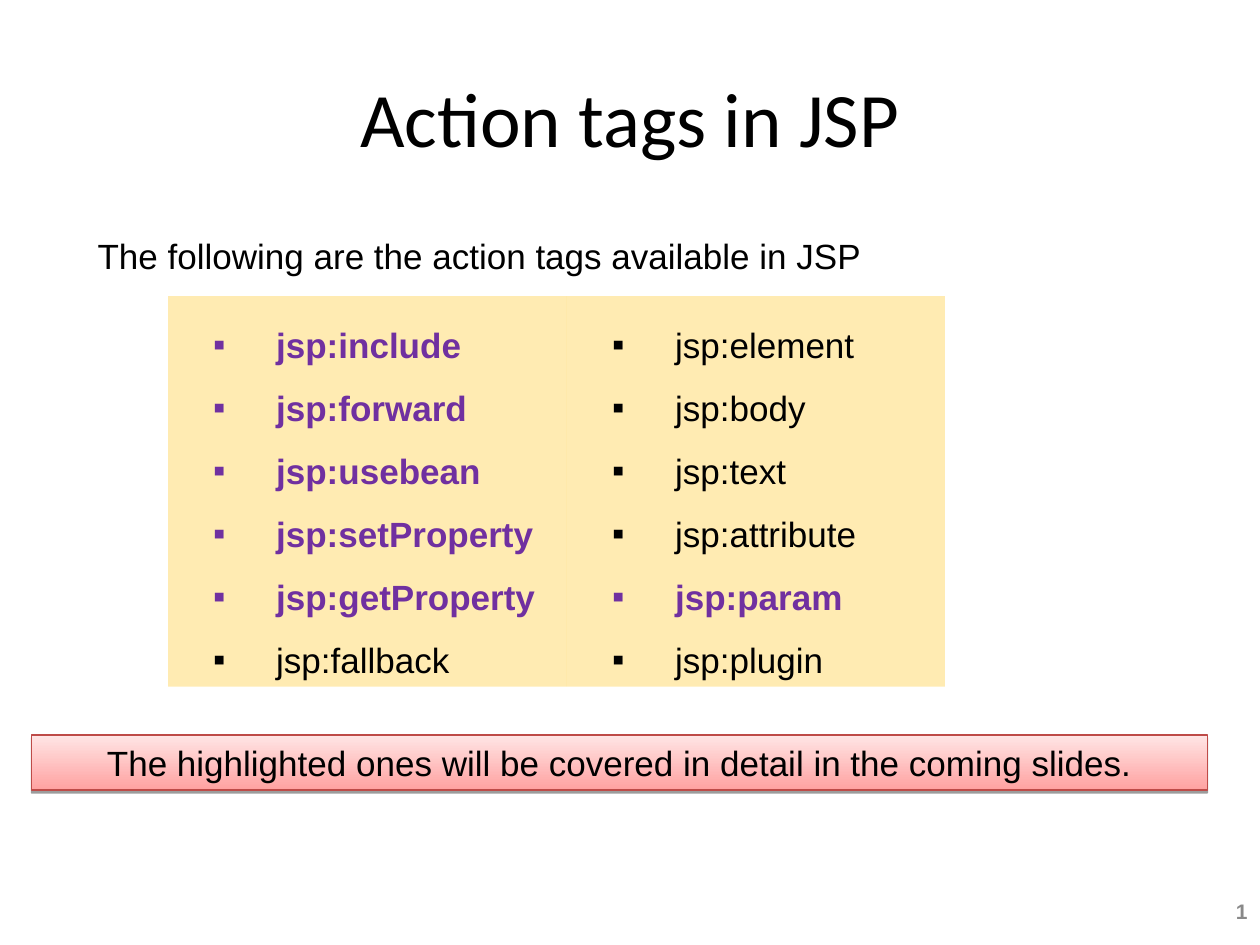
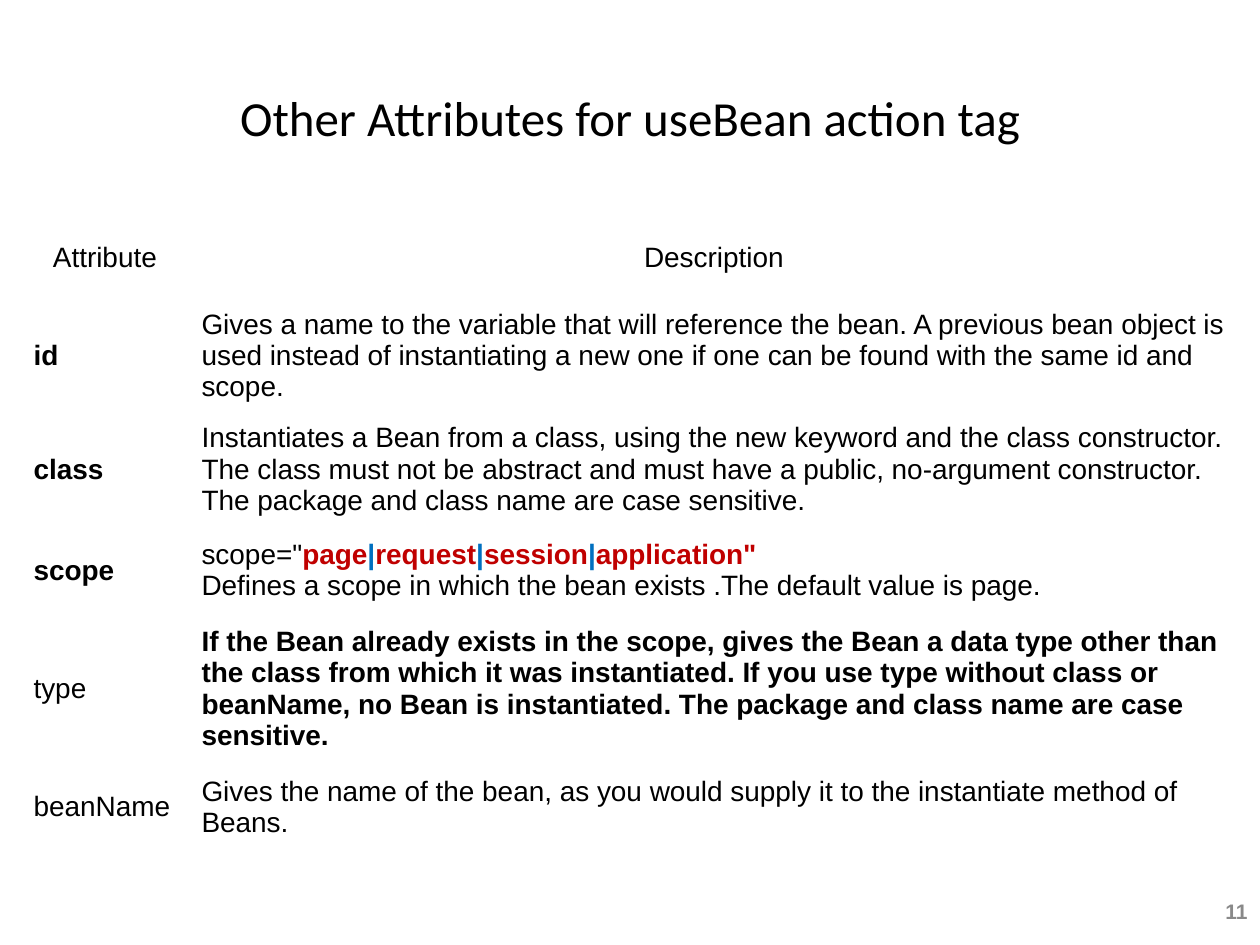
from lxml.etree import SubElement
from pptx import Presentation
from pptx.dml.color import RGBColor
from pptx.enum.shapes import MSO_SHAPE
from pptx.enum.text import MSO_ANCHOR, PP_ALIGN
from pptx.oxml import parse_xml
from pptx.oxml.ns import nsdecls, qn
from pptx.util import Inches, Pt

COLORS = {
    "text": "000000",
    "number": "898989",
    "covered": "7030A0",
    "panel": "FFC000",
    "bar_dark": "FFA2A1",
    "bar_light": "FFE5E5",
    "bar_line": "BE4B48",
    "value": "C00000",
    "pipe": "0070C0",
}
COLS, ROWS = 120, 90
HEADING_FONT, BODY_FONT = "Calibri", "Arial"


def rgb(name):
    return RGBColor.from_string(COLORS[name])


class Deck:
    def __init__(self):
        self.prs = Presentation()
        self.prs.slide_width, self.prs.slide_height = Inches(10), Inches(7.5)
        self.s = None

    def x(self, cols):
        return round(self.prs.slide_width * cols / COLS)

    def y(self, rows):
        return round(self.prs.slide_height * rows / ROWS)

    def box(self, left, top, width, height):
        return self.x(left), self.y(top), self.x(width), self.y(height)

    def style(self, r, size, color="text", bold=False, name=BODY_FONT):
        r.font.size, r.font.bold, r.font.name = Pt(size), bold, name
        r.font.color.rgb = rgb(color)

    def fill_in(self, p, text, size, color="text", bold=False, name=BODY_FONT):
        p.text = text
        self.style(p.runs[0], size, color, bold, name)

    def indent(self, p, left, first=0, bullet=None):
        pPr = p._p.get_or_add_pPr()
        pPr.set("marL", str(Inches(left)))
        pPr.set("indent", str(Inches(first)))
        if bullet:
            clr = SubElement(pPr, qn("a:buClr"))
            SubElement(clr, qn("a:srgbClr"), val=COLORS[bullet])
            SubElement(pPr, qn("a:buFont"), typeface=BODY_FONT)
            SubElement(pPr, qn("a:buChar"), char="▪")

    def slide(self, title, size, number):
        self.s = self.prs.slides.add_slide(self.prs.slide_layouts[5])
        sp = self.s.shapes.title
        sp.left, sp.top, sp.width, sp.height = self.box(6, 3.6, 108, 15)
        tf = sp.text_frame
        tf.vertical_anchor = MSO_ANCHOR.MIDDLE
        p = tf.paragraphs[0]
        self.fill_in(p, title, size, name=HEADING_FONT)
        p.alignment = PP_ALIGN.CENTER
        p = self.text(114.1, 84.7, 5.9, 4.2, number, 12, "number", True, MSO_ANCHOR.MIDDLE)
        p.alignment = PP_ALIGN.RIGHT

    def text(self, left, top, width, height, text, size, color="text", bold=False,
             anchor=MSO_ANCHOR.TOP):
        tf = self.s.shapes.add_textbox(*self.box(left, top, width, height)).text_frame
        tf.word_wrap, tf.vertical_anchor = True, anchor
        p = tf.paragraphs[0]
        self.fill_in(p, text, size, color, bold)
        return p

    def rect(self, left, top, width, height):
        sp = self.s.shapes.add_shape(MSO_SHAPE.RECTANGLE, *self.box(left, top, width, height))
        sp.shadow.inherit = False
        sp.text_frame.word_wrap = True
        return sp

    def panel(self, left, top, width, height, tags, covered):
        sp = self.rect(left, top, width, height)
        sp.fill.solid()
        sp.fill.fore_color.rgb = rgb("panel")
        clr = sp._element.spPr.find(qn("a:solidFill"))[0]
        SubElement(clr, qn("a:alpha"), val="30000")
        sp.line.fill.background()
        tf = sp.text_frame
        tf.vertical_anchor = MSO_ANCHOR.MIDDLE
        tf.text = "\n".join(tags)
        for p, tag in zip(tf.paragraphs, tags):
            color = "covered" if tag in covered else "text"
            self.indent(p, 0.76, -0.5, color)
            p.line_spacing, p.alignment = 1.5, PP_ALIGN.LEFT
            self.style(p.runs[0], 20, color, tag in covered)

    def bar(self, left, top, width, height, text):
        sp = self.rect(left, top, width, height)
        sp.fill.gradient()
        sp.fill.gradient_angle = 90
        for stop, position, color in zip(sp.fill.gradient_stops, (0, 1), ("bar_dark", "bar_light")):
            stop.position, stop.color.rgb = position, rgb(color)
        sp.line.color.rgb, sp.line.width = rgb("bar_line"), Pt(0.75)
        effects = sp._element.spPr.find(qn("a:effectLst"))
        effects.append(parse_xml(
            f'<a:outerShdw {nsdecls("a")} dist="{Pt(1.6)}" dir="5400000" rotWithShape="0">'
            f'<a:srgbClr val="{COLORS["text"]}"><a:alpha val="38000"/></a:srgbClr></a:outerShdw>'))
        tf = sp.text_frame
        tf.vertical_anchor = MSO_ANCHOR.TOP
        p = tf.paragraphs[0]
        self.indent(p, 0.5)
        p.alignment = PP_ALIGN.LEFT
        self.fill_in(p, text, 20)

    def table(self, left, top, widths, heights, rows):
        frame = self.s.shapes.add_table(
            len(rows), len(widths), *self.box(left, top, sum(widths), sum(heights)))
        tbl = frame.table
        tbl.first_row = tbl.horz_banding = False
        for col, width in zip(tbl.columns, widths):
            col.width = self.x(width)
        for i, (row, height, cells) in enumerate(zip(tbl.rows, heights, rows)):
            row.height = self.y(height)
            for cell, paragraphs in zip(row.cells, cells):
                cell.fill.background()
                cell.vertical_anchor = MSO_ANCHOR.MIDDLE if i else MSO_ANCHOR.TOP
                tf = cell.text_frame
                for n, runs in enumerate(paragraphs):
                    p = tf.add_paragraph() if n else tf.paragraphs[0]
                    p.alignment = PP_ALIGN.LEFT if i else PP_ALIGN.CENTER
                    for text, color, bold in runs:
                        r = p.add_run()
                        r.text = text
                        self.style(r, 16, color, bold)


def plain(text):
    return [[(text, "text", False)]]


def strong(text):
    return [[(text, "text", True)]]


def scope_values(*values):
    runs = [('scope="', "text", False)]
    for i, value in enumerate(values):
        if i:
            runs.append(("|", "pipe", True))
        runs.append((value, "value", True))
    return runs


def main():
    deck = Deck()

    deck.slide("Action tags in JSP", 44, "1")
    p = deck.text(5, 19.7, 101, 13.2, "The following are the action tags available in JSP", 20)
    deck.indent(p, 0.76, -0.5)
    p.line_spacing = 1.5
    covered = {"jsp:include", "jsp:forward", "jsp:usebean", "jsp:setProperty",
               "jsp:getProperty", "jsp:param"}
    deck.panel(54, 28.2, 36, 37.2, ["jsp:element", "jsp:body", "jsp:text", "jsp:attribute",
                                    "jsp:param", "jsp:plugin"], covered)
    deck.panel(16, 28.2, 38, 37.2, ["jsp:include", "jsp:forward", "jsp:usebean", "jsp:setProperty",
                                    "jsp:getProperty", "jsp:fallback"], covered)
    deck.bar(3, 70, 112, 5.25,
             "The highlighted ones will be covered in detail in the coming slides.")

    deck.slide("Other Attributes for useBean action tag", 28, "11")
    deck.table(2, 22.5, [16, 100], [6, 10.8, 10.8, 8.5, 14, 8.5], [
        (plain("Attribute"), plain("Description")),
        (strong("id"), plain(
            "Gives a name to the variable that will reference the bean. A previous bean object is "
            "used instead of instantiating a new one if one can be found with the same id and "
            "scope.")),
        (strong("class"), plain(
            "Instantiates a Bean from a class, using the new keyword and the class constructor. "
            "The class must not be abstract and must have a public, no-argument constructor. "
            "The package and class name are case sensitive.")),
        (strong("scope"), [scope_values("page", "request", "session", 'application"')] + plain(
            "Defines a scope in which the bean exists .The default value is page.")),
        (plain("type"), strong(
            "If the Bean already exists in the scope, gives the Bean a data type other than "
            "the class from which it was instantiated. If you use type without class or "
            "beanName, no Bean is instantiated. The package and class name are case "
            "sensitive.")),
        (plain("beanName"), plain(
            "Gives the name of the bean, as you would supply it to the instantiate method of "
            "Beans.")),
    ])

    deck.prs.save("out.pptx")


if __name__ == "__main__":
    main()
